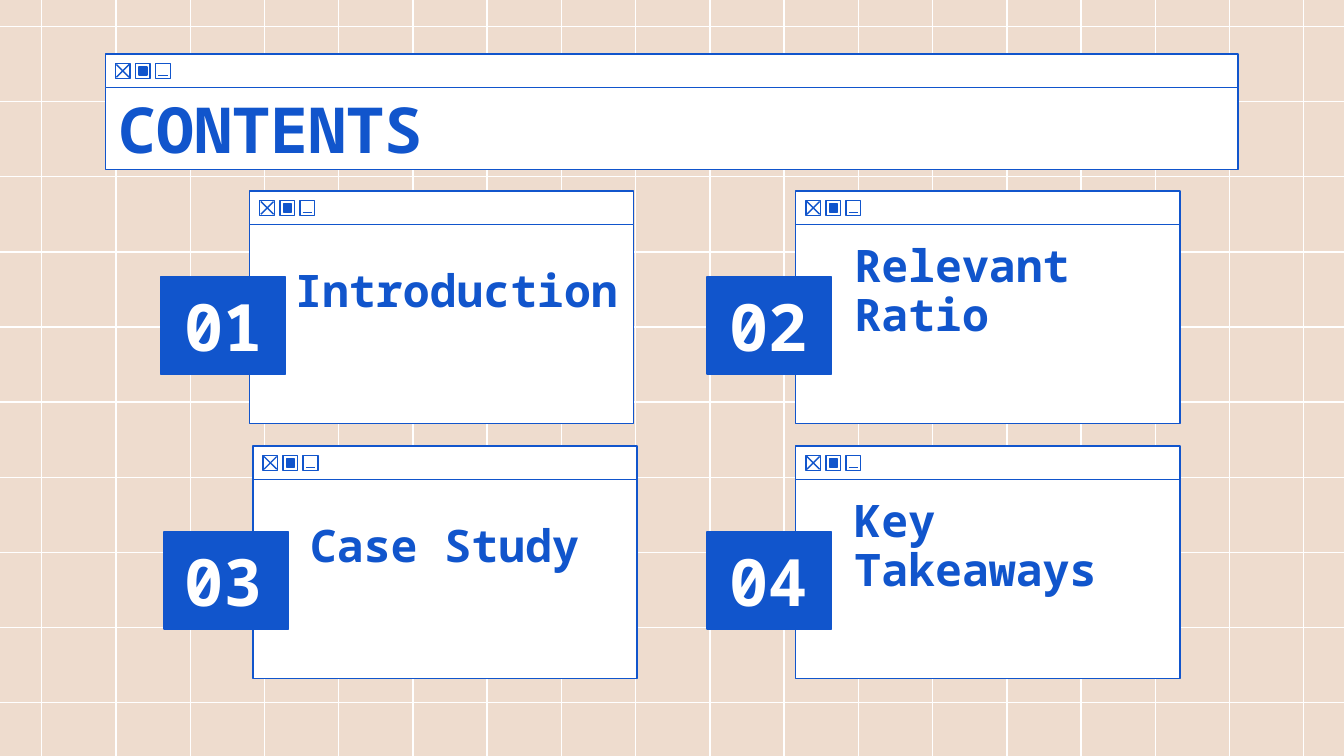
from dataclasses import dataclass

from lxml.etree import SubElement as Child
from pptx import Presentation as Deck
from pptx.dml.color import RGBColor as Color
from pptx.enum.shapes import MSO_CONNECTOR as Link, MSO_SHAPE as Form
from pptx.enum.text import MSO_ANCHOR as Anchor, PP_ALIGN as Align
from pptx.oxml.ns import qn
from pptx.shapes.autoshape import Shape
from pptx.util import Cm, Pt


@dataclass(frozen=True)
class Theme:
    sand: Color = Color(0xEE, 0xDC, 0xCE)
    blue: Color = Color(0x11, 0x55, 0xCC)
    white: Color = Color(0xFF, 0xFF, 0xFF)
    font: str = "Noto Sans Mono"
    title: float = 34
    label: float = 24
    digit: float = 35
    line: float = 0.75


@dataclass(frozen=True)
class Box:
    x: float
    y: float
    w: float
    h: float


@dataclass(frozen=True)
class Card:
    num: str
    lines: tuple[str, ...]
    x: float
    y: float
    num_x: float
    text_x: float
    text_w: float


WIDE, HIGH = 25.4, 14.29
BAR = 0.64
LOOK = Theme()

CARDS = (
    Card("01", ("Introduction",), 4.72, 3.61, 3.1, 5.33, 7.09),
    Card("02", ("Relevant", "Ratio"), 15.04, 3.61, 13.39, 15.9, 5.31),
    Card("03", ("Case Study",), 4.78, 8.43, 3.1, 5.61, 6.43),
    Card("04", ("Key Takeaways",), 15.04, 8.43, 13.39, 15.9, 6.4),
)

deck = Deck()
deck.slide_width, deck.slide_height = Cm(WIDE), Cm(HIGH)
slide = deck.slides.add_slide(deck.slide_layouts[6])
slide.background.fill.solid()
slide.background.fill.fore_color.rgb = LOOK.sand


def draw_line(x1: float, y1: float, x2: float, y2: float, color: Color) -> None:
    line = slide.shapes.add_connector(Link.STRAIGHT, Cm(x1), Cm(y1), Cm(x2), Cm(y2))
    line.line.color.rgb = color
    line.line.width = Pt(LOOK.line)
    Child(line._element.spPr, qn("a:effectLst"))


def draw_rect(box: Box, fill: Color | None = None) -> Shape:
    rect = slide.shapes.add_shape(
        Form.RECTANGLE, Cm(box.x), Cm(box.y), Cm(box.w), Cm(box.h))
    rect.shadow.inherit = False
    if fill is None:
        rect.fill.background()
    else:
        rect.fill.solid()
        rect.fill.fore_color.rgb = fill
    rect.line.color.rgb = LOOK.blue
    rect.line.width = Pt(LOOK.line)
    return rect


def write(shape: Shape, lines: tuple[str, ...], size: float, color: Color,
          align: Align = Align.LEFT, space: float = 1.0) -> None:
    frame = shape.text_frame
    frame.word_wrap = True
    frame.vertical_anchor = Anchor.MIDDLE
    frame.margin_left = frame.margin_right = Cm(0.25)
    frame.margin_top = frame.margin_bottom = Cm(0.25)
    para = frame.paragraphs[0]
    para.alignment = align
    para.line_spacing = space
    for i, text in enumerate(lines):
        if i:
            para.add_line_break()
        run = para.add_run()
        run.text = text
        run.font.name = LOOK.font
        run.font.size = Pt(size)
        run.font.bold = True
        run.font.color.rgb = color


def add_text(box: Box) -> Shape:
    return slide.shapes.add_textbox(Cm(box.x), Cm(box.y), Cm(box.w), Cm(box.h))


def draw_icons(x: float, y: float) -> None:
    side, step = 0.28, 0.38
    close, full, small = (x + i * step for i in range(3))
    for left in (close, full, small):
        draw_rect(Box(left, y, side, side))
    # Cross, filled square and dash
    near, far = 0.02, side - 0.02
    draw_line(close + near, y + near, close + far, y + far, LOOK.blue)
    draw_line(close + far, y + near, close + near, y + far, LOOK.blue)
    draw_rect(Box(full + 0.07, y + 0.07, 0.15, 0.15), LOOK.blue)
    draw_line(small + 0.05, y + 0.23, small + 0.23, y + 0.23, LOOK.blue)


def draw_window(box: Box) -> Shape:
    body = draw_rect(Box(box.x, box.y + BAR, box.w, box.h - BAR), LOOK.white)
    draw_rect(Box(box.x, box.y, box.w, BAR), LOOK.white)
    draw_icons(box.x + 0.19, box.y + 0.18)
    return body


def draw_card(card: Card) -> None:
    draw_window(Box(card.x, card.y, 7.26, 4.4))
    draw_rect(Box(card.x - 1.68, card.y + 1.63, 2.36, 1.83), LOOK.blue)
    label = add_text(Box(card.text_x, card.y + 1.02, card.text_w, 1.8))
    write(label, card.lines, LOOK.label, LOOK.blue, space=0.9)
    digit = add_text(Box(card.num_x, card.y + 1.93, 2.26, 1.22))
    write(digit, (card.num,), LOOK.digit, LOOK.white, Align.CENTER)


# Background grid
for i in range(18):
    x = 0.79 + i * (24.64 - 0.79) / 17
    draw_line(x, 0, x, HIGH, LOOK.white)
for i in range(10):
    y = 0.5 + i * (13.28 - 0.5) / 9
    draw_line(0, y, WIDE, y, LOOK.white)

# Title window
head = draw_window(Box(1.99, 1.02, 21.41, 2.18))
write(head, ("CONTENTS",), LOOK.title, LOOK.blue)

# Numbered windows
for card in CARDS:
    draw_card(card)

deck.save("out.pptx")
